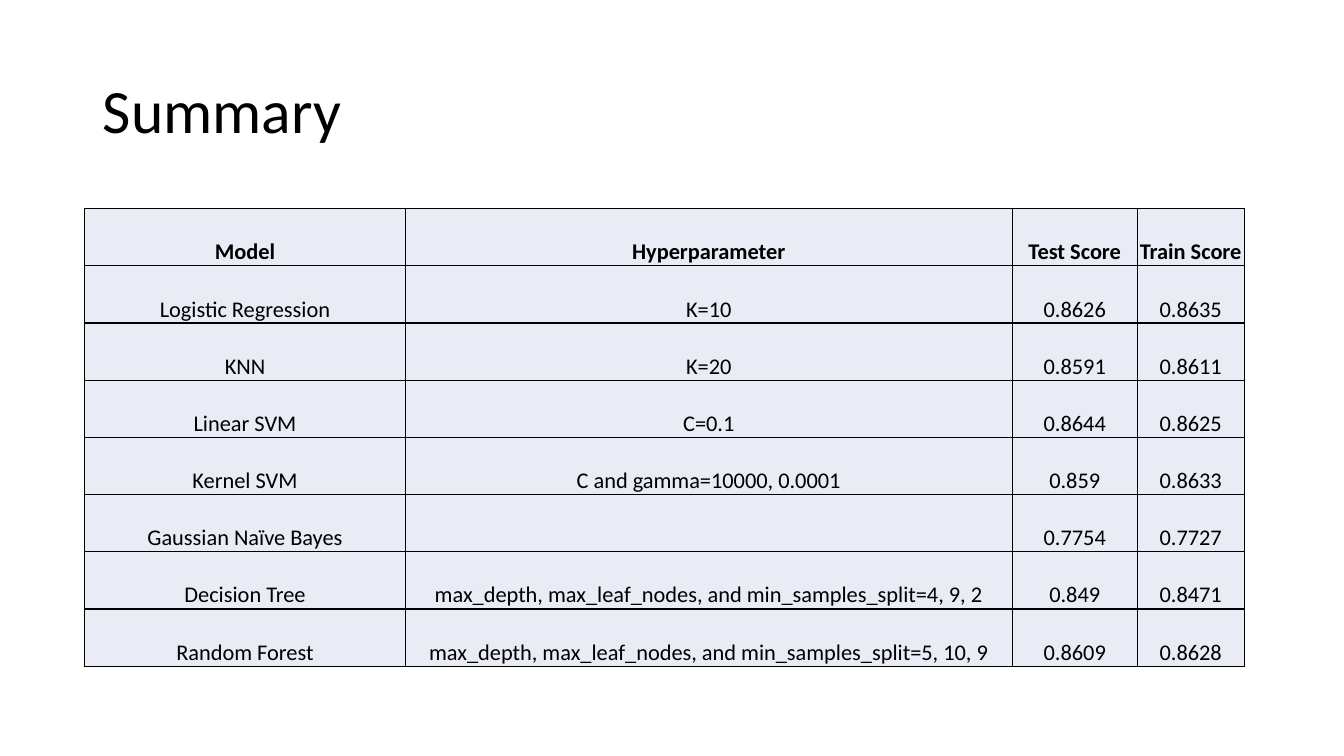
from lxml.etree import SubElement
from pptx import Presentation
from pptx.dml.color import RGBColor
from pptx.enum.text import MSO_ANCHOR, PP_ALIGN
from pptx.oxml.ns import qn
from pptx.util import Inches, Pt

BLACK, PALE_BLUE = "000000", "E9EBF5"
COLUMN_WIDTHS = [3.18, 6.02, 1.24, 1.06]
ROW_HEIGHT = 0.5675
SCORES = [
    ("Model", "Hyperparameter", "Test Score", "Train Score"),
    ("Logistic Regression", "K=10", "0.8626", "0.8635"),
    ("KNN", "K=20", "0.8591", "0.8611"),
    ("Linear SVM", "C=0.1", "0.8644", "0.8625"),
    ("Kernel SVM", "C and gamma=10000, 0.0001", "0.859", "0.8633"),
    ("Gaussian Naïve Bayes", "", "0.7754", "0.7727"),
    ("Decision Tree", "max_depth, max_leaf_nodes, and min_samples_split=4, 9, 2", "0.849", "0.8471"),
    ("Random Forest", "max_depth, max_leaf_nodes, and min_samples_split=5, 10, 9", "0.8609", "0.8628"),
]
CELL_FORMAT = {
    "margin_left": 0, "margin_right": 0, "margin_top": 0, "margin_bottom": 0,
    "vertical_anchor": MSO_ANCHOR.BOTTOM,
}


def color(hex_value):
    return RGBColor.from_string(hex_value)


def format_text(paragraph, align, size, bold=False):
    paragraph.alignment = align
    font_format = {"name": "Calibri", "size": Pt(size), "bold": bold}
    for name, value in font_format.items():
        setattr(paragraph.font, name, value)
    paragraph.font.color.rgb = color(BLACK)


# Slide
deck = Presentation()
deck.slide_width, deck.slide_height = Inches(13.33), Inches(7.5)
slide = deck.slides.add_slide(deck.slide_layouts[5])

# Title
summary = slide.shapes.title
title_box = {"left": 0.92, "top": 0.4, "width": 11.5, "height": 1.45}
for name, value in title_box.items():
    setattr(summary, name, Inches(value))
summary.text_frame.text = "Summary"
summary.text_frame.vertical_anchor = MSO_ANCHOR.MIDDLE
heading = summary.text_frame.paragraphs[0]
heading.line_spacing = 0.9
format_text(heading, PP_ALIGN.LEFT, 44)

# Score table
score_table = slide.shapes.add_table(
    len(SCORES), len(COLUMN_WIDTHS), Inches(0.84), Inches(2.07),
    Inches(sum(COLUMN_WIDTHS)), Inches(ROW_HEIGHT * len(SCORES))).table
score_table.horz_banding = False
for column, width in zip(score_table.columns, COLUMN_WIDTHS):
    column.width = Inches(width)

for row_index, (row, entries) in enumerate(zip(score_table.rows, SCORES)):
    row.height = Inches(ROW_HEIGHT)
    for cell, entry in zip(row.cells, entries):
        cell.text = entry
        for name, value in CELL_FORMAT.items():
            setattr(cell, name, value)
        format_text(cell.text_frame.paragraphs[0], PP_ALIGN.CENTER, 16, bold=row_index == 0)

        # Borders come before the fill in the cell properties
        properties = cell._tc.get_or_add_tcPr()
        for side in ("a:lnL", "a:lnR", "a:lnT", "a:lnB"):
            border = SubElement(properties, qn(side), w=str(Pt(1)))
            border_fill = SubElement(border, qn("a:solidFill"))
            SubElement(border_fill, qn("a:srgbClr"), val=BLACK)
        cell.fill.solid()
        cell.fill.fore_color.rgb = color(PALE_BLUE)

deck.save("out.pptx")
